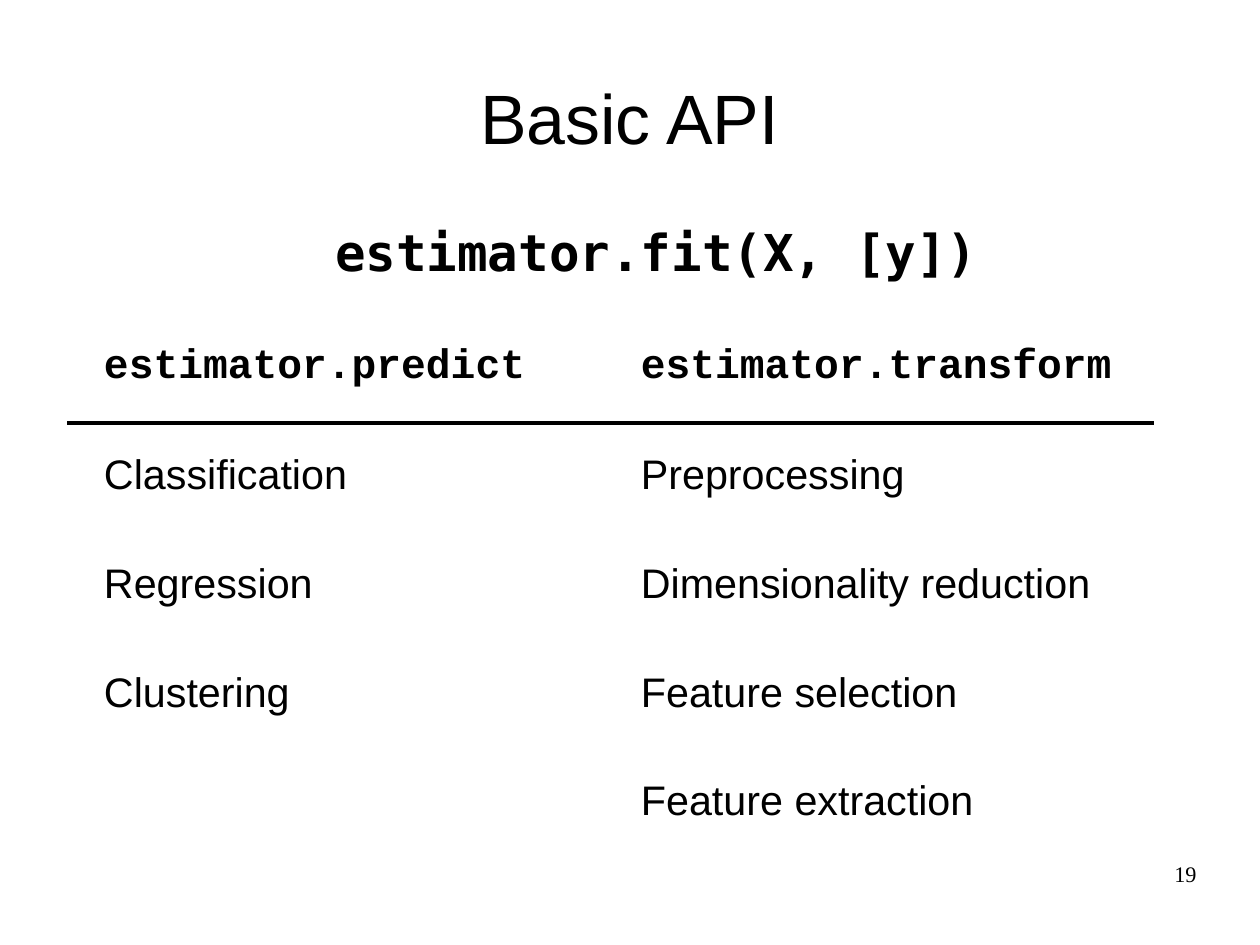
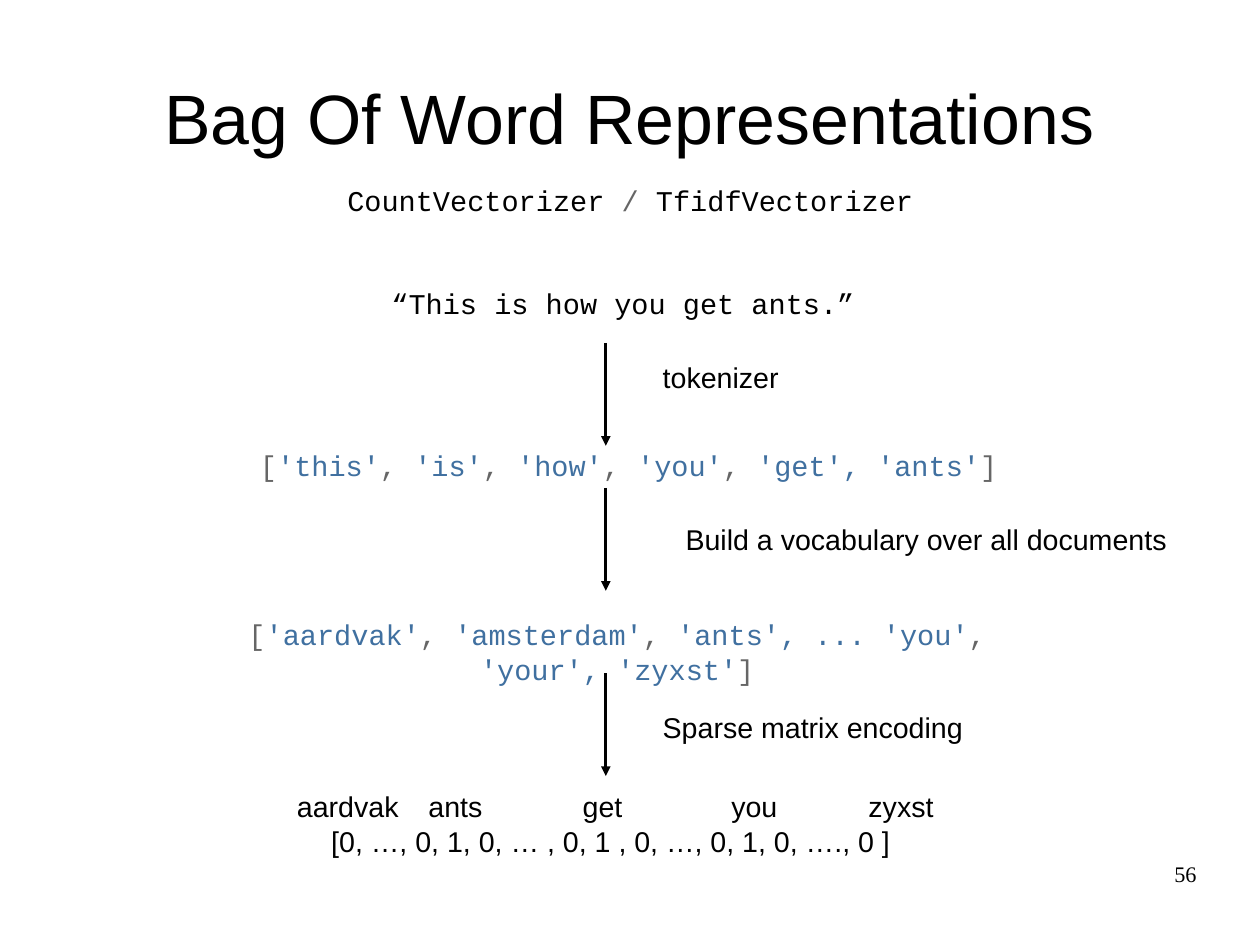
import dataclasses
import itertools

import lxml.etree
import pptx
import pptx.dml.color
import pptx.enum.shapes
import pptx.enum.text
import pptx.oxml.ns
import pptx.util

Pt = pptx.util.Pt
Align = pptx.enum.text.PP_ALIGN
Anchor = pptx.enum.text.MSO_ANCHOR


@dataclasses.dataclass(frozen=True)
class Theme:
    width: float = 793.7
    height: float = 595.3
    black: str = "000000"
    white: str = "FFFFFF"
    grey: str = "666666"
    blue: str = "4070A0"
    sans: str = "Arial"
    code: str = "Courier New"
    signature: str = "DejaVu Sans Mono"
    serif: str = "Times New Roman"
    title_size: float = 44
    signature_size: float = 32
    table_size: float = 26
    text_size: float = 18
    number_size: float = 14
    rule_width: float = 2.89


THEME = Theme()
NO_INSET = (0, 0)
LABEL_INSET = (7.2, 3.6)


def rgb(color):
    return pptx.dml.color.RGBColor.from_string(color)


def apply_format(target, values):
    for attribute, value in values.items():
        setattr(target, attribute, value)


def write_runs(paragraph, pieces, colors, font, size, bold=False):
    for piece, color in zip(pieces, itertools.cycle(colors)):
        run = paragraph.add_run()
        run.text = piece
        apply_format(run.font, {"name": font, "size": Pt(size), "bold": bold})
        run.font.color.rgb = rgb(color)


def add_text(slide, box, pieces, font=THEME.sans, size=THEME.text_size,
             colors=(THEME.black,), bold=False, align=Align.LEFT,
             anchor=Anchor.TOP, inset=NO_INSET):
    frame = slide.shapes.add_textbox(*map(Pt, box)).text_frame
    side, edge = map(Pt, inset)
    apply_format(frame, {
        "word_wrap": True, "vertical_anchor": anchor,
        "margin_left": side, "margin_right": side,
        "margin_top": edge, "margin_bottom": edge,
    })
    paragraph = frame.paragraphs[0]
    paragraph.alignment = align
    write_runs(paragraph, pieces, colors, font, size, bold)


def add_label(slide, left, top, text, width=360):
    add_text(slide, (left, top, width, 27.4), [text], inset=LABEL_INSET)


def add_code_line(slide, center, top, pieces, colors=(THEME.black,), lines=1):
    width = 489.6
    add_text(slide, (center - width / 2, top, width, 20.6 * lines), pieces,
             THEME.code, colors=colors, align=Align.CENTER)


def add_line(slide, start, end, width, arrow=False):
    line = slide.shapes.add_connector(
        pptx.enum.shapes.MSO_CONNECTOR.STRAIGHT, *map(Pt, start + end))
    line.line.color.rgb = rgb(THEME.black)
    line.line.width = Pt(width)
    if arrow:
        head = lxml.etree.SubElement(
            line.line._get_or_add_ln(), pptx.oxml.ns.qn("a:tailEnd"))
        head.set("type", "triangle")
    lxml.etree.SubElement(
        line._element.spPr, pptx.oxml.ns.qn("a:effectLst"))


def add_method_table(slide, left, top, column_width, row_height, rows):
    table = slide.shapes.add_table(
        len(rows), len(rows[0]), Pt(left), Pt(top),
        Pt(column_width * len(rows[0])), Pt(row_height * len(rows))).table
    apply_format(table, {"first_row": False, "horz_banding": False})
    for column in table.columns:
        column.width = Pt(column_width)
    for row_index, row in enumerate(rows):
        table.rows[row_index].height = Pt(row_height)
        is_header = row_index == 0
        for column_index, text in enumerate(row):
            cell = table.cell(row_index, column_index)
            cell.fill.solid()
            cell.fill.fore_color.rgb = rgb(THEME.white)
            if text:
                write_runs(cell.text_frame.paragraphs[0], [text],
                           (THEME.black,),
                           THEME.code if is_header else THEME.sans,
                           THEME.table_size, is_header)


def add_slide(deck, title, number):
    slide = deck.slides.add_slide(deck.slide_layouts[6])
    slide.background.fill.solid()
    slide.background.fill.fore_color.rgb = rgb(THEME.white)
    add_text(slide, (39.6, 23.8, 714.2, 99.4), [title], size=THEME.title_size,
             align=Align.CENTER, anchor=Anchor.MIDDLE)
    add_text(slide, (568.8, 542.2, 185, 41), [number], THEME.serif,
             THEME.number_size, align=Align.RIGHT)
    return slide


def build_basic_api(deck):
    slide = add_slide(deck, "Basic API", "19")
    add_text(slide, (73.4, 139, 680.4, 40), ["estimator.fit(X, [y])"],
             THEME.signature, THEME.signature_size, bold=True,
             align=Align.CENTER)
    add_method_table(slide, 58.3, 213.1, 338.2, 68.4, [
        ("estimator.predict", "estimator.transform"),
        ("Classification", "Preprocessing"),
        ("Regression", "Dimensionality reduction"),
        ("Clustering", "Feature selection"),
        ("", "Feature extraction"),
    ])
    add_line(slide, (42.5, 266.4), (727.2, 266.4), THEME.rule_width)


def build_bag_of_words(deck):
    slide = add_slide(deck, "Bag Of Word Representations", "56")
    token_colors = (THEME.grey, THEME.blue)

    add_code_line(slide, 397, 115.2,
                  ["CountVectorizer ", "/", " TfidfVectorizer"],
                  (THEME.black, THEME.grey))
    add_code_line(slide, 392.4, 180, ["“This is how you get ants.”"])
    add_code_line(slide, 396, 282.2, [
        "[", "'this'", ", ", "'is'", ", ", "'how'", ", ", "'you'", ", ",
        "'get', 'ants'", "]"], token_colors)
    add_code_line(slide, 388.8, 388.8, [
        "[", "'aardvak'", ", ", "'amsterdam'", ", ", "'ants', ... 'you'",
        ", ", "'your', 'zyxst'", "]"], token_colors, lines=2)

    steps = [
        (216, 410.4, 223.2, "tokenizer"),
        (307.4, 424.8, 325.2, "Build a vocabulary over all documents"),
        (424.1, 410.4, 443.7, "Sparse matrix encoding"),
    ]
    for arrow_top, label_left, label_top, step in steps:
        add_line(slide, (381.6, arrow_top), (381.6, arrow_top + 64.8), 0,
                 arrow=True)
        add_label(slide, label_left, label_top, step)

    vocabulary = [("aardvak", 180), ("ants", 262.8), ("get", 360),
                  ("you", 453.6), ("zyxst", 540)]
    for word, left in vocabulary:
        add_label(slide, left, 493.6, word, width=80)
    add_label(slide, 201.6, 515.5,
              "[0, …, 0, 1, 0, … , 0, 1 , 0, …, 0, 1, 0, …., 0 ]", width=380)


def main():
    deck = pptx.Presentation()
    apply_format(deck, {"slide_width": Pt(THEME.width),
                        "slide_height": Pt(THEME.height)})
    build_basic_api(deck)
    build_bag_of_words(deck)
    deck.save("out.pptx")


if __name__ == "__main__":
    main()
